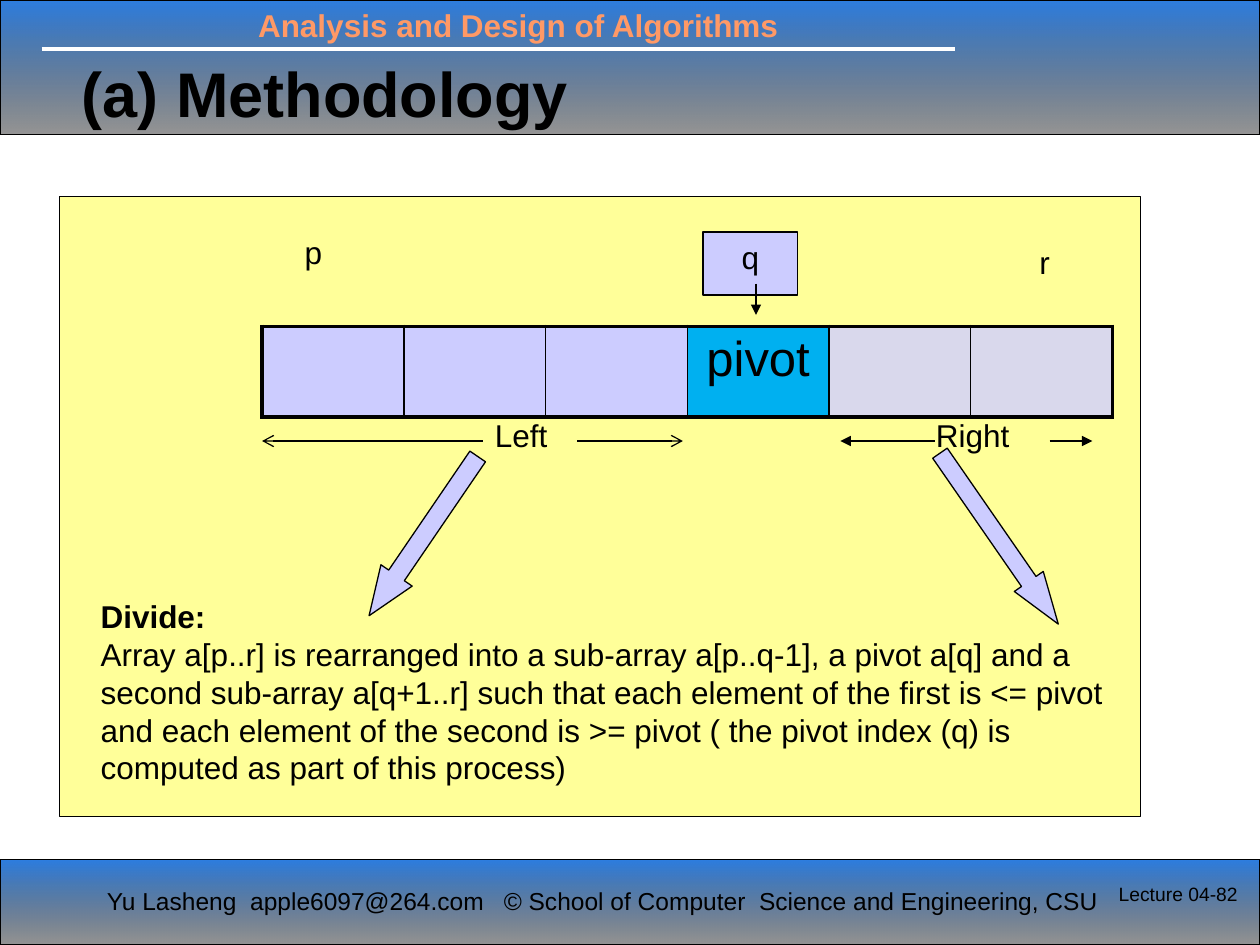
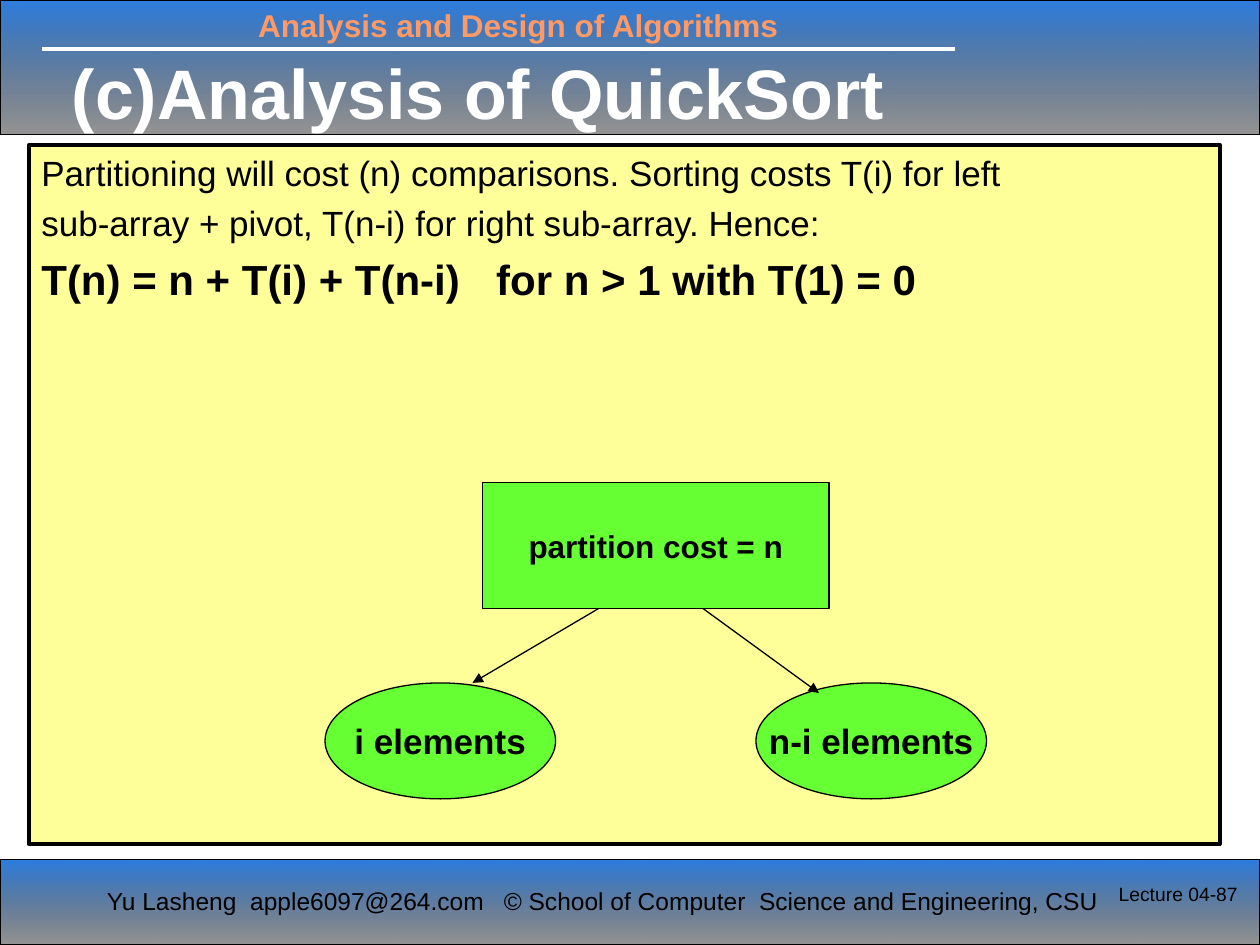
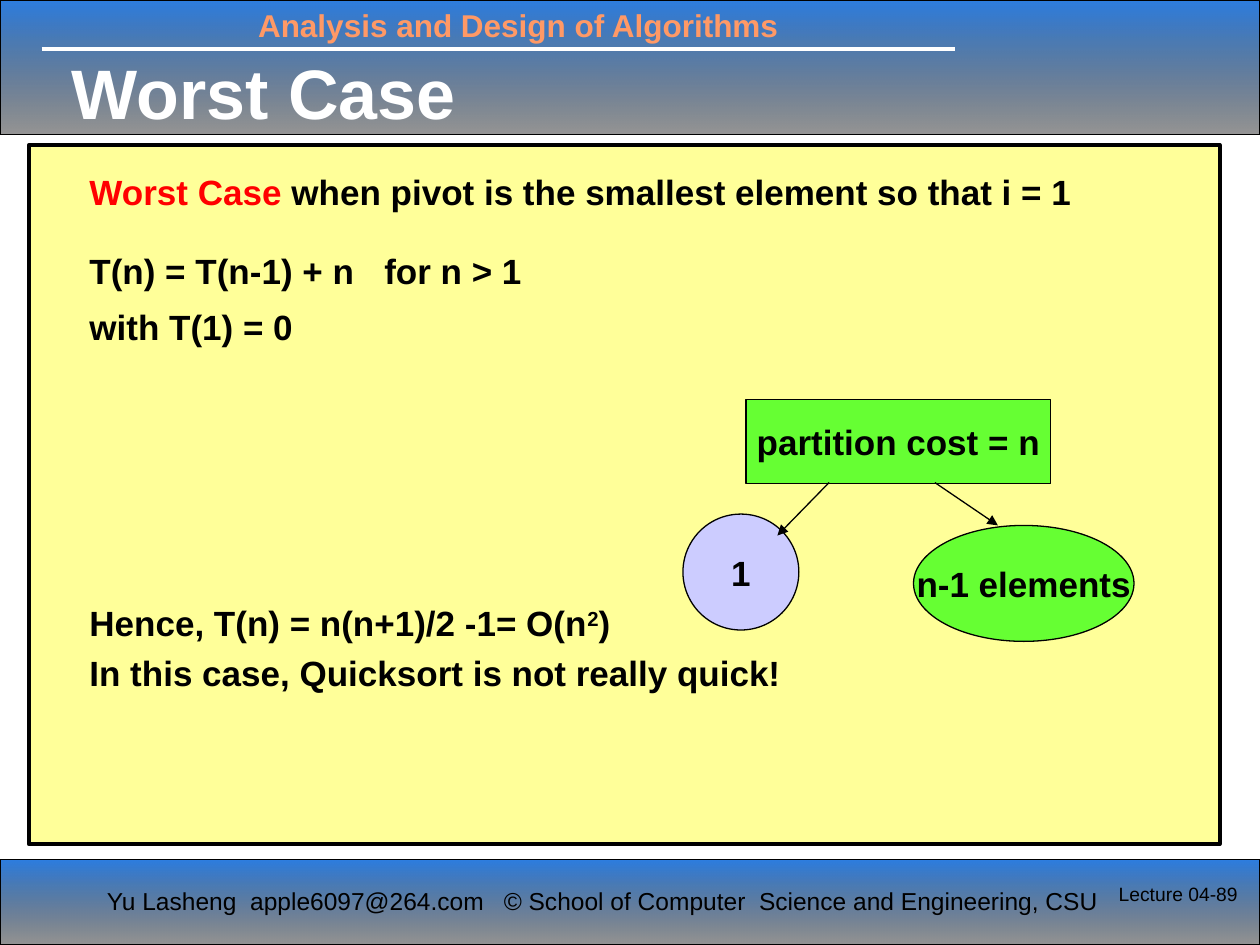
"""Build three lecture slides on the methodology and analysis of QuickSort."""
from lxml.etree import SubElement
from pptx import Presentation
from pptx.dml.color import RGBColor
from pptx.enum.shapes import MSO_CONNECTOR, MSO_SHAPE
from pptx.enum.text import MSO_ANCHOR, MSO_AUTO_SIZE, PP_ALIGN
from pptx.oxml.ns import qn
from pptx.util import Inches, Pt

FONT = "Arial"
COLORS = {
    "black": "000000",
    "white": "FFFFFF",
    "band": "0E6BDC",
    "course": "FF9966",
    "panel": "FFFF99",
    "lavender": "CCCCFF",
    "gray": "D9D8EC",
    "pivot": "00B0F0",
    "green": "66FF33",
    "red": "FF0000",
}
BODY_BOX = (0.23, 1.15, 9.45, 5.55)
TITLE_BOX = (0.47, 0.39, 7.81, 0.68)


def rgb(name):
    """Return the named colour."""
    return RGBColor.from_string(COLORS[name])


def inches(*values):
    """Convert numbers to lengths in inches."""
    return [Inches(value) for value in values]


def style_paragraph(paragraph, size, color="black", bold=False, align=PP_ALIGN.LEFT):
    """Format a paragraph and all of its runs."""
    paragraph.alignment = align
    for run in paragraph.runs:
        run.font.name = FONT
        run.font.size = Pt(size)
        run.font.bold = bold
        run.font.color.rgb = rgb(color)


def set_text(text_frame, text, size, wrap=True, anchor=MSO_ANCHOR.TOP, **style):
    """Put one formatted paragraph into a text frame."""
    text_frame.text = text
    text_frame.word_wrap = wrap
    text_frame.vertical_anchor = anchor
    style_paragraph(text_frame.paragraphs[0], size, **style)


def add_label(slide, box, text, size=18, **style):
    """Add a text box."""
    label = slide.shapes.add_textbox(*inches(*box))
    set_text(label.text_frame, text, size, **style)
    return label


def add_box(slide, box, fill, kind=MSO_SHAPE.RECTANGLE, line_width=0.75):
    """Add a filled preset shape with a black outline."""
    shape = slide.shapes.add_shape(kind, *inches(*box))
    shape.shadow.inherit = False
    shape.fill.solid()
    shape.fill.fore_color.rgb = rgb(fill)
    shape.line.color.rgb = rgb("black")
    shape.line.width = Pt(line_width)
    return shape


def add_node(slide, box, text, size=20, fill="green", kind=MSO_SHAPE.OVAL):
    """Add a tree node with a centred bold caption."""
    node = add_box(slide, box, fill, kind)
    set_text(node.text_frame, text, size, wrap=False, anchor=MSO_ANCHOR.MIDDLE,
             bold=True, align=PP_ALIGN.CENTER)


def add_line(slide, start, end, color="black", width=0.75, head=None):
    """Add a straight line, with an arrowhead at its end if one is named."""
    line = slide.shapes.add_connector(MSO_CONNECTOR.STRAIGHT, *inches(*start, *end))
    line.line.color.rgb = rgb(color)
    line.line.width = Pt(width)
    if head:
        SubElement(line.line._get_or_add_ln(), qn("a:tailEnd"), type=head)
    SubElement(line.element.spPr, qn("a:effectLst"))
    return line


def add_band(slide, top, height):
    """Add a full-width band with a translucent gradient."""
    band = add_box(slide, (0, top, 10, height), "band")
    band.fill.gradient()
    band.fill.gradient_angle = 270
    for stop, color, position in zip(band.fill.gradient_stops, ("band", "black"), (0, 1)):
        stop.color.rgb = rgb(color)
        stop.position = position
    gradient = band.element.spPr.find(qn("a:gradFill"))
    for color, opacity in zip(gradient.iter(qn("a:srgbClr")), (88, 41)):
        SubElement(color, qn("a:alpha"), val=str(opacity * 1000))
    return band


def build_layout(layout, slide):
    """Draw the shared frame and keep it on the layout."""
    for placeholder in list(layout.placeholders)[1:]:
        layout.shapes.element.remove(placeholder.element)
    frame = [
        add_band(slide, 0, 1.07),
        add_band(slide, 6.82, 0.68),
        add_line(slide, (0.33, 0.39), (7.58, 0.39), "white", 2.25),
        add_label(slide, (1.95, 0, 5, 0.4), "Analysis and Design of Algorithms",
                  color="course", bold=True),
        add_label(slide, (0.75, 6.98, 3.21, 0.57), "Yu Lasheng  apple6097@264.com",
                  14, wrap=False),
        add_label(slide, (3.9, 6.98, 5.12, 0.34),
                  "© School of Computer  Science and Engineering, CSU", 14, wrap=False),
    ]
    for shape in frame:
        layout.shapes.element.append(shape.element)


def set_title(slide, text, box=TITLE_BOX, size=40, color="white"):
    """Place and format the slide title."""
    title = slide.shapes.title
    title.left, title.top, title.width, title.height = inches(*box)
    set_text(title.text_frame, text, size, anchor=MSO_ANCHOR.MIDDLE, color=color, bold=True)
    title.text_frame.auto_size = MSO_AUTO_SIZE.NONE


def add_lecture_number(slide, number):
    """Add the lecture and page number."""
    add_label(slide, (8.78, 6.95, 1.22, 0.5), f"Lecture 04-{number}", 11)


def add_body(slide, lines, left_inset=0.1, top_inset=0.05):
    """Add the text panel from (runs, size, bold, space before) lines."""
    body = add_box(slide, BODY_BOX, "panel", line_width=2.25)
    text_frame = body.text_frame
    text_frame.word_wrap = True
    text_frame.vertical_anchor = MSO_ANCHOR.TOP
    text_frame.margin_left = Inches(left_inset)
    text_frame.margin_top = Inches(top_inset)
    for index, (texts, size, bold, space) in enumerate(lines):
        paragraph = text_frame.add_paragraph() if index else text_frame.paragraphs[0]
        for text in texts:
            paragraph.add_run().text = text
        if space:
            paragraph.space_before = Pt(space)
        style_paragraph(paragraph, size, bold=bold)
    return text_frame.paragraphs


def add_tab_stop(paragraph, position):
    """Give a paragraph one left tab stop."""
    tabs = SubElement(paragraph._p.get_or_add_pPr(), qn("a:tabLst"))
    SubElement(tabs, qn("a:tab"), pos=str(Inches(position)), algn="l")


def set_borders(cell, **widths):
    """Draw black cell borders of the given widths in points."""
    properties = cell._tc.get_or_add_tcPr()
    for side, width in widths.items():
        border = SubElement(properties, qn(f"a:ln{side}"), w=str(Pt(width)))
        fill = SubElement(border, qn("a:solidFill"))
        SubElement(fill, qn("a:srgbClr"), val=COLORS["black"])


def add_array(slide, box, fills, pivot_index):
    """Add the one-row array table with its pivot cell."""
    table = slide.shapes.add_table(1, len(fills), *inches(*box)).table
    table.first_row = table.horz_banding = False
    last = len(fills) - 1
    for index, fill in enumerate(fills):
        cell = table.cell(0, index)
        set_borders(cell, L=1 if index else 2.25, R=1 if index < last else 2.25,
                    T=2.25, B=2.25)
        cell.fill.solid()
        cell.fill.fore_color.rgb = rgb(fill)
    set_text(table.cell(0, pivot_index).text_frame, "pivot", 28, align=PP_ALIGN.CENTER)


def add_block_arrow(slide, box, rotation, head_length):
    """Add a rotated block arrow."""
    arrow = add_box(slide, box, "lavender", MSO_SHAPE.DOWN_ARROW)
    arrow.adjustments[0] = 0.5
    arrow.adjustments[1] = head_length
    arrow.rotation = rotation


def build_methodology(slide):
    """Show how an array is divided around its pivot."""
    add_box(slide, (0.47, 1.56, 8.58, 4.92), "panel")
    set_title(slide, "(a) Methodology", (0.55, 0.23, 8.5, 1), 36, "black")
    add_array(slide, (2.08, 2.59, 6.75, 0.72),
              ["lavender"] * 3 + ["pivot"] + ["gray"] * 2, 3)
    for text, box in (
        ("Left", (3.83, 3.25, 0.76, 0.5)),
        ("Right", (7.33, 3.25, 1, 0.5)),
        ("p", (2.32, 1.8, 0.39, 0.5)),
        ("r", (8.15, 1.88, 0.31, 0.5)),
    ):
        add_label(slide, box, text)
    index_box = add_box(slide, (5.58, 1.84, 0.75, 0.5), "lavender", line_width=1)
    set_text(index_box.text_frame, "q", 18, align=PP_ALIGN.CENTER)
    for start, end, head in (
        ((7.42, 3.5), (6.67, 3.5), "triangle"),
        ((8.33, 3.5), (8.67, 3.5), "triangle"),
        ((6, 2.25), (6, 2.5), "triangle"),
        ((3.83, 3.5), (2.08, 3.5), "arrow"),
        ((4.58, 3.5), (5.42, 3.5), "arrow"),
    ):
        add_line(slide, start, end, head=head)
    add_block_arrow(slide, (3.21, 3.49, 0.3, 1.53), 34.3, 1.29)
    add_block_arrow(slide, (7.79, 3.45, 0.28, 1.65), 325.3, 1.47)
    divide = add_label(slide, (0.7, 4.69, 8.33, 1.62), "Divide:", bold=True)
    explanation = divide.text_frame.add_paragraph()
    explanation.text = (
        "Array a[p..r] is rearranged into a sub-array a[p..q-1], a pivot a[q] and a "
        "second sub-array a[q+1..r] such that each element of the first is <= pivot "
        "and each element of the second is >= pivot ( the pivot index (q) is "
        "computed as part of this process)"
    )
    style_paragraph(explanation, 18)


def build_analysis(slide):
    """Show the general cost recurrence."""
    set_title(slide, "(c)Analysis of QuickSort")
    paragraphs = add_body(slide, [
        (["Partitioning will cost (n) comparisons. Sorting costs T(i) for left"], 20, False, 0),
        (["sub-array + pivot, T(n-i) for right sub-array. Hence:"], 20, False, 4.8),
        (["T(n) = n + T(i) + T(n-i)\tfor n > 1 with T(1) = 0"], 24, True, 5.5),
    ])
    add_tab_stop(paragraphs[2], 3.61)
    add_node(slide, (2.58, 5.42, 1.83, 0.92), "i elements")
    add_node(slide, (6, 5.42, 1.83, 0.92), "n-i elements")
    add_node(slide, (3.83, 3.83, 2.75, 1), "partition cost = n", 18, kind=MSO_SHAPE.RECTANGLE)
    add_line(slide, (4.75, 4.83), (3.75, 5.42), head="triangle")
    add_line(slide, (5.58, 4.83), (6.5, 5.5), head="triangle")


def build_worst_case(slide):
    """Show the recurrence for the worst pivot."""
    set_title(slide, "Worst Case")
    paragraphs = add_body(slide, [
        (["Worst Case ", "when pivot is the smallest element so that i = 1"], 20, True, 0),
        (["T(n) = T(n-1) + n\tfor n > 1"], 20, True, 21.6),
        (["with T(1) = 0"], 20, True, 7.9),
        (["Hence, T(n) = n(n+1)/2 -1= O(n", "2", ")"], 20, True, 145),
        (["In this case, Quicksort is not really quick!"], 20, True, 4.8),
    ], left_inset=0.48, top_inset=0.2)
    paragraphs[0].runs[0].font.color.rgb = rgb("red")
    add_tab_stop(paragraphs[1], 2.34)
    paragraphs[3].runs[1]._r.get_or_add_rPr().set("baseline", "30000")
    add_node(slide, (5.42, 4.08, 0.92, 0.92), "1", fill="lavender")
    add_node(slide, (7.25, 4.17, 1.75, 0.92), "n-1 elements")
    add_node(slide, (5.92, 3.17, 2.42, 0.67), "partition cost = n", kind=MSO_SHAPE.RECTANGLE)
    add_line(slide, (6.58, 3.83), (6.17, 4.25), head="triangle")
    add_line(slide, (7.42, 3.83), (7.92, 4.17), head="triangle")


def main():
    """Build and save the presentation."""
    presentation = Presentation()
    presentation.slide_width, presentation.slide_height = inches(10, 7.5)
    layout = presentation.slide_layouts[5]
    for number, build in ((82, build_methodology), (87, build_analysis), (89, build_worst_case)):
        slide = presentation.slides.add_slide(layout)
        if number == 82:
            build_layout(layout, slide)
        build(slide)
        title = slide.shapes.title.element
        title.getparent().append(title)
        add_lecture_number(slide, number)
    presentation.save("out.pptx")


if __name__ == "__main__":
    main()
